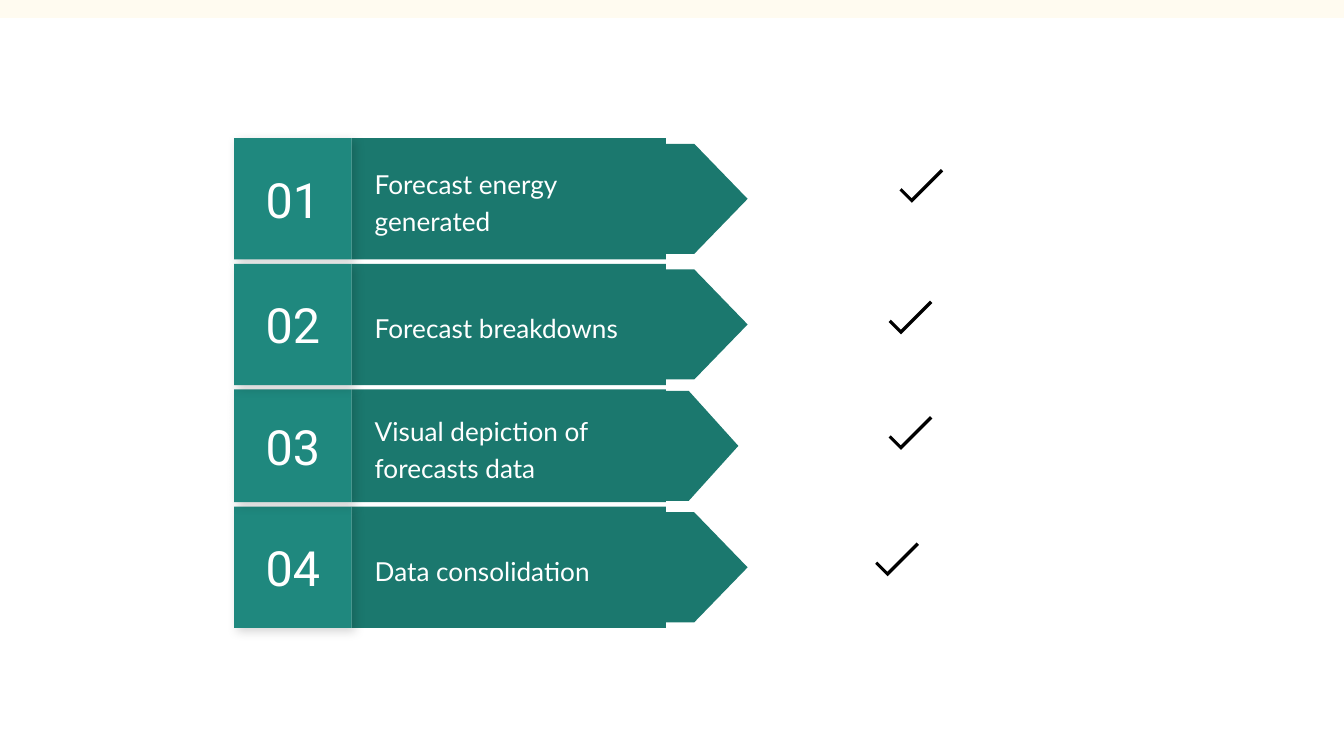
import pptx
import pptx.dml.color
import pptx.enum.shapes
import pptx.enum.text
import pptx.oxml
import pptx.oxml.ns
import pptx.util

Pt = pptx.util.Pt
MSO = pptx.enum.shapes.MSO_SHAPE
ALIGN = pptx.enum.text.PP_ALIGN

ROWS = [
    ("01", "Forecast energy generated", 65),
    ("02", "Forecast breakdowns", 65),
    ("03", "Visual depiction of forecasts data", 60.5),
    ("04", "Data consolidation", 65),
]
DRAW_ORDER = (3, 2, 0, 1)
ROW_LEFT, ROW_TOP, ROW_GAP = 125.4, 74, 2.3
TILE_W, BODY_W, LABEL_W = 63, 168.4, 177
ARROW_H, ARROW_RATIO, ARROW_CENTER = 59, 2.2, 329
CHECKS = [(481.7, 92.2), (475.9, 162.7), (475.9, 224.6), (468.7, 292.3)]
CHECK_W, CHECK_H = 23.8, 9.4


def color(hex_code):
    """Return the colour for a hex string."""
    return pptx.dml.color.RGBColor.from_string(hex_code)


def add_block(s, kind, x, y, w, h, fill, rotation=0):
    """Add a flat, unlined preset shape."""
    sp = s.shapes.add_shape(kind, Pt(x), Pt(y), Pt(w), Pt(h))
    sp.shadow.inherit = False
    sp.fill.solid()
    sp.fill.fore_color.rgb = color(fill)
    sp.line.fill.background()
    sp.rotation = rotation
    return sp


def set_text(sp, text, font, size, align=ALIGN.LEFT, spacing=1.0, fill="FFFFFF"):
    """Write one formatted, vertically centred paragraph into a shape."""
    tf = sp.text_frame
    tf.word_wrap = True
    tf.vertical_anchor = pptx.enum.text.MSO_ANCHOR.MIDDLE
    tf.margin_left = tf.margin_right = tf.margin_top = tf.margin_bottom = Pt(7.2)
    p = tf.paragraphs[0]
    p.alignment = align
    p.line_spacing = spacing
    r = p.add_run()
    r.text = text
    r.font.name = font
    r.font.size = Pt(size)
    r.font.color.rgb = color(fill)


def add_shadow(sp):
    """Give a shape a soft shadow down to the right."""
    effects = sp._element.spPr.find(pptx.oxml.ns.qn("a:effectLst"))
    effects.append(pptx.oxml.parse_xml(
        f'<a:outerShdw {pptx.oxml.ns.nsdecls("a")} blurRad="{Pt(5.6)}" '
        f'dist="{Pt(2.2)}" dir="2700000" algn="tl" rotWithShape="0">'
        '<a:srgbClr val="000000"><a:alpha val="17000"/></a:srgbClr></a:outerShdw>'))


def add_row(s, x, y, h, number, label):
    """Draw a numbered arrow row with its top left corner at x, y."""
    body_x = x + TILE_W
    add_block(s, MSO.RECTANGLE, body_x, y, BODY_W, h, "1B786E")
    length = ARROW_RATIO * h
    add_block(s, MSO.FLOWCHART_OFFPAGE_CONNECTOR, ARROW_CENTER - ARROW_H / 2,
              y + (h - length) / 2, ARROW_H, length, "1B786E", rotation=270)
    box = s.shapes.add_textbox(Pt(body_x + 5.3), Pt(y + 0.12 * h), Pt(LABEL_W), Pt(0.78 * h))
    set_text(box, label, "Lato", 14, spacing=1.16)
    tile = add_block(s, MSO.RECTANGLE, x, y, TILE_W, h, "1F887E")
    add_shadow(tile)
    set_text(tile, number, "Roboto", 26, align=ALIGN.CENTER)


def add_check(s, x, y):
    """Draw a check mark from a turned corner shape."""
    sp = add_block(s, MSO.CORNER, x, y, CHECK_W, CHECK_H, "000000", rotation=315)
    sp.adjustments[0] = 0.19
    sp.adjustments[1] = 0.18


def main():
    """Build the slide and save it."""
    prs = pptx.Presentation()
    prs.slide_width, prs.slide_height = Pt(720), Pt(405)
    s = prs.slides.add_slide(prs.slide_layouts[6])
    s.background.fill.solid()
    s.background.fill.fore_color.rgb = color("FFFBF0")
    add_block(s, MSO.RECTANGLE, 0, 9.7, 720, 395.3, "FFFFFF")
    for i in DRAW_ORDER:
        number, label, h = ROWS[i]
        y = ROW_TOP + sum(row[2] + ROW_GAP for row in ROWS[:i])
        add_row(s, ROW_LEFT, y, h, number, label)
    for x, y in CHECKS:
        add_check(s, x, y)
    prs.save("out.pptx")


if __name__ == "__main__":
    main()
